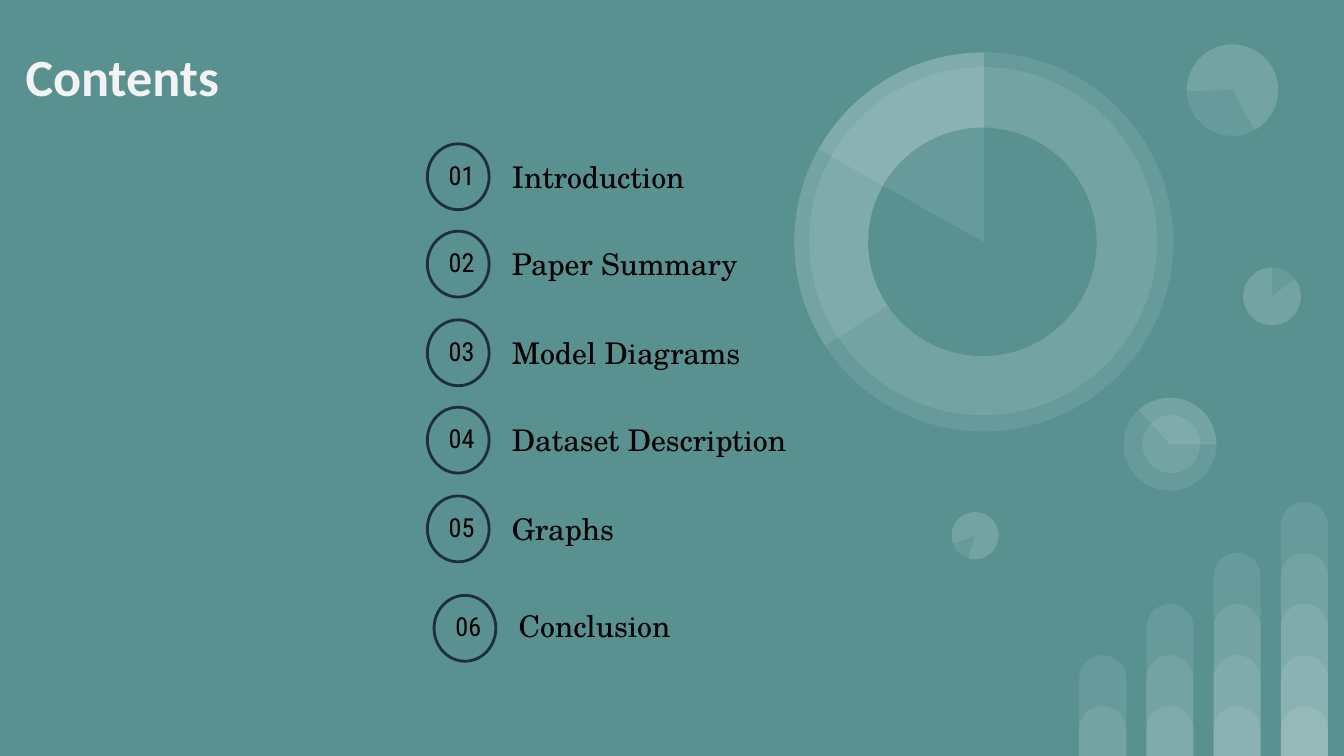
from lxml.etree import SubElement
from pptx import Presentation
from pptx.dml.color import RGBColor
from pptx.enum.shapes import MSO_SHAPE
from pptx.enum.text import MSO_ANCHOR, MSO_AUTO_SIZE, PP_ALIGN
from pptx.oxml.ns import qn
from pptx.util import Inches, Pt

TEAL, WHITE, NAVY, BLACK, OFF_WHITE = "599191", "FFFFFF", "1F2D41", "000000", "F3F3F3"
SLIDE_WIDTH = 10
SLIDE_HEIGHT = SLIDE_WIDTH * 9 / 16
HEADING = "Contents"
TOPICS = ["Introduction", "Paper Summary", "Model Diagrams",
          "Dataset Description", "Graphs", "Conclusion"]
ROW_PITCH = 0.65
POSITIONS = [(3.18, top, top - 0.01) for top in (1.07, 1.72, 2.38, 3.03, 3.69)]
POSITIONS.append((3.23, 4.43, 4.4))

BAR_COUNT, BAR_LEFT, BAR_PITCH, BAR_WIDTH = 4, 8.03, 0.5, 0.35
BAR_STEP = 0.38

# left, top, diameter, rotation, (start, end) angles of a slice or None, colour
DISCS = [
    (9.25, 1.99, 0.43, 0, None, WHITE),
    (9.25, 1.99, 0.43, 0, (322.95, 270), WHITE),
    (7.08, 3.81, 0.35, 196.2, None, WHITE),
    (7.08, 3.81, 0.35, 196.2, (322.95, 270), WHITE),
    (8.36, 2.96, 0.69, 90, None, WHITE),
    (8.36, 2.96, 0.69, 90, (137.41, 270.77), WHITE),
    (8.5, 3.09, 0.43, 90, None, WHITE),
    (8.83, 0.33, 0.68, 215.9, None, WHITE),
    (8.83, 0.33, 0.68, 215.9, (322.95, 205.23), WHITE),
    (5.91, 0.39, 2.82, 0, None, WHITE),
    (6.02, 0.5, 2.59, 34.1, None, WHITE),
    (5.91, 0.39, 2.82, 0, (146.69, 270), WHITE),
    (6.46, 0.95, 1.7, 34.1, None, TEAL),
    (5.91, 0.39, 2.82, 0, (209.24, 270), WHITE),
]


def paint(color_format, color):
    color_format.rgb = RGBColor.from_string(color)


def add_outline(slide, kind, box):
    shape = slide.shapes.add_shape(kind, *map(Inches, box))
    shape.shadow.inherit = False
    return shape


def add_decoration(slide, kind, box, color=WHITE):
    shape = add_outline(slide, kind, box)
    shape.line.fill.background()
    shape.fill.solid()
    paint(shape.fill.fore_color, color)
    if color == WHITE:
        tint = shape._element.spPr.find(".//" + qn("a:srgbClr"))
        SubElement(tint, qn("a:alpha"), val="9000")
    return shape


def write(frame, text, font, size, color, align=PP_ALIGN.LEFT, anchor=MSO_ANCHOR.MIDDLE,
          insets=(0, 0, 0, 0), spacing=0.9, bold=False):
    frame.word_wrap = True
    frame.auto_size = MSO_AUTO_SIZE.NONE
    frame.vertical_anchor = anchor
    frame.margin_left, frame.margin_top, frame.margin_right, frame.margin_bottom = map(
        Inches, insets)
    paragraph = frame.paragraphs[0]
    paragraph.alignment = align
    paragraph.line_spacing = spacing
    run = paragraph.add_run()
    run.text = text
    run.font.name, run.font.size, run.font.bold = font, Pt(size), bold
    paint(run.font.color, color)


def add_bars(slide):
    for column in range(BAR_COUNT):
        for level in range(1, column + 3):
            height = BAR_STEP * level - 0.01
            box = (BAR_LEFT + BAR_PITCH * column, SLIDE_HEIGHT - height, BAR_WIDTH, height)
            bar = add_decoration(slide, MSO_SHAPE.ROUND_2_SAME_RECTANGLE, box)
            bar.adjustments[0] = 0.5


def add_discs(slide):
    for left, top, diameter, rotation, angles, color in DISCS:
        kind = MSO_SHAPE.PIE if angles else MSO_SHAPE.OVAL
        disc = add_decoration(slide, kind, (left, top, diameter, diameter), color)
        disc.rotation = rotation
        for index, angle in enumerate(angles or ()):
            disc.adjustments[index] = angle * 0.6


def add_heading(slide):
    heading = slide.shapes.title
    heading.left, heading.top, heading.width, heading.height = map(
        Inches, (0.09, 0.23, 2.42, 0.95))
    write(heading.text_frame, HEADING, "Calibri", 28, OFF_WHITE, anchor=MSO_ANCHOR.TOP,
          insets=(0.1, 0.1, 0.1, 0.1), spacing=1.0, bold=True)


def add_topics(slide):
    for number, (topic, position) in enumerate(zip(TOPICS, POSITIONS), 1):
        left, badge_top, label_top = position
        badge = add_outline(slide, MSO_SHAPE.OVAL, (left, badge_top, 0.46, 0.49))
        badge.fill.background()
        paint(badge.line.color, NAVY)
        badge.line.width = Pt(1.5)
        write(badge.text_frame, f"{number:02d}", "Roboto Condensed", 14, BLACK,
              align=PP_ALIGN.CENTER, insets=(0.05, 0, 0, 0))
        label = slide.shapes.add_textbox(*map(Inches, (left + 0.63, label_top, 3.47, 0.54)))
        write(label.text_frame, topic, "TeX Gyre Schola", 16, BLACK)


def main():
    deck = Presentation()
    deck.slide_width, deck.slide_height = Inches(SLIDE_WIDTH), Inches(SLIDE_HEIGHT)
    slide = deck.slides.add_slide(deck.slide_layouts[5])
    slide.background.fill.solid()
    paint(slide.background.fill.fore_color, TEAL)
    add_bars(slide)
    add_discs(slide)
    add_heading(slide)
    add_topics(slide)
    deck.save("out.pptx")


if __name__ == "__main__":
    main()
